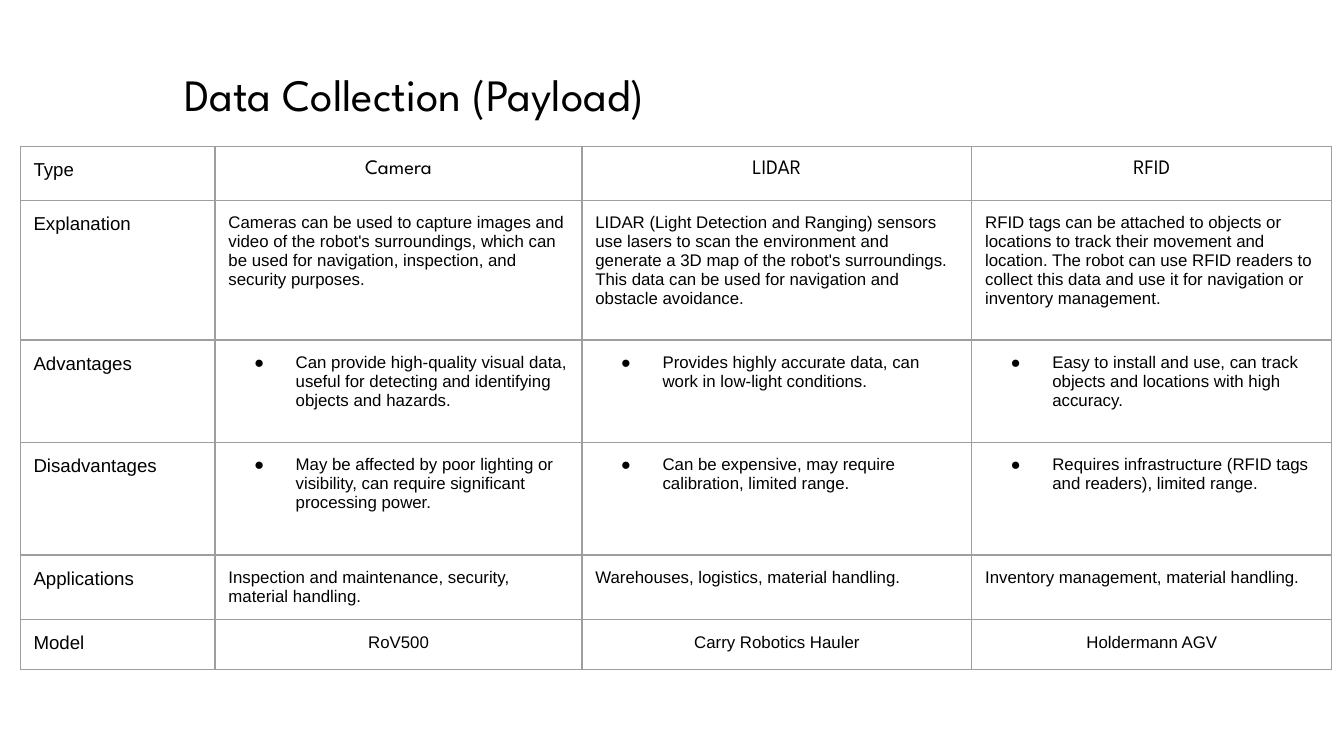
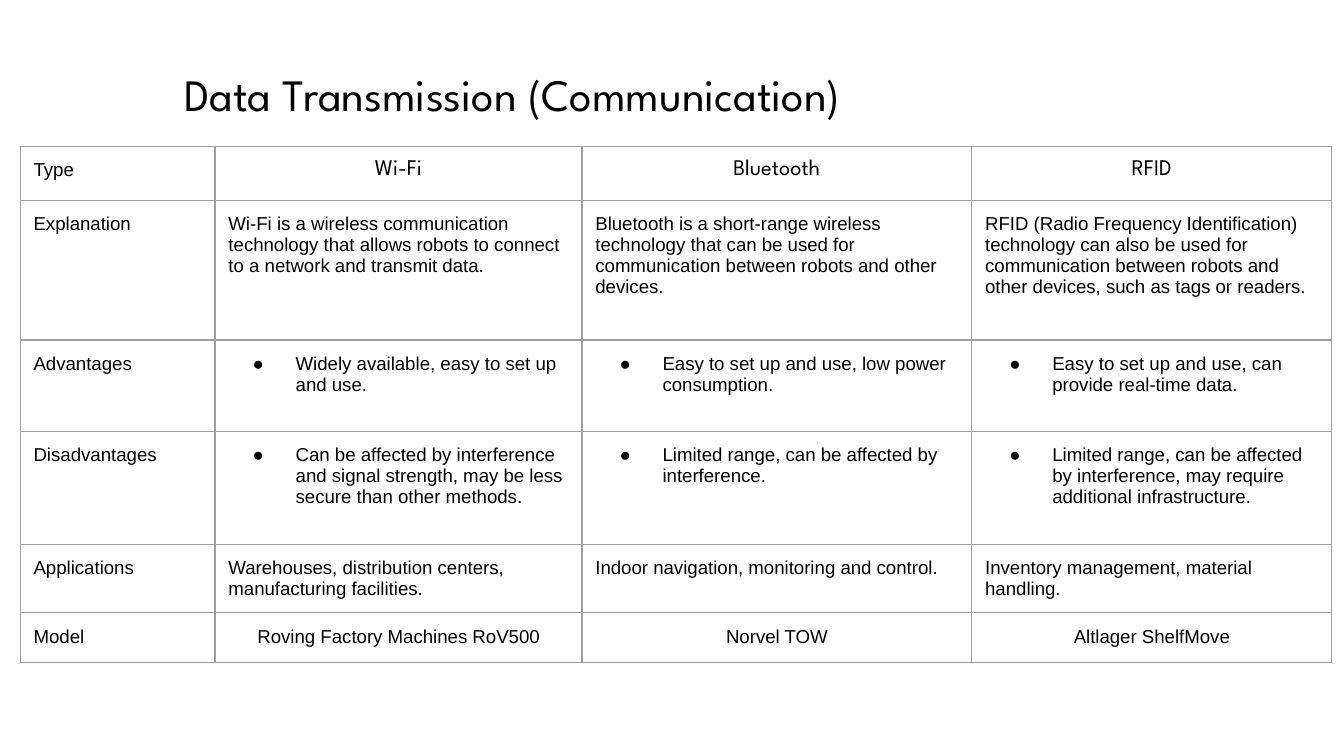
"""Build two slides that compare robot sensors and robot communication links in tables."""
from dataclasses import dataclass

from lxml import etree
from pptx import Presentation
from pptx.dml.color import RGBColor as RGB
from pptx.enum.text import MSO_ANCHOR as ANCHOR, MSO_AUTO_SIZE as AUTO, PP_ALIGN as ALIGN
from pptx.oxml.ns import qn
from pptx.util import Inches, Pt


@dataclass(frozen=True)
class Theme:
    ink: str = "000000"
    rule: str = "9E9E9E"
    paper: str = "FFFFFF"
    head_font: str = "League Spartan"
    body_font: str = "Arial"
    title_size: int = 24
    label_size: int = 10
    rule_width: float = 0.75


T = Theme()
INSET = Inches(0.1)
COL_WIDTHS = [1.45, 2.73, 2.9, 2.68]
LABELS = ["Type", "Explanation", "Advantages", "Disadvantages", "Applications", "Model"]
CENTERED = {"Type", "Model"}
BULLETED = {"Advantages", "Disadvantages"}

SLIDES = [
    {
        "title": "Data Collection (Payload)",
        "head_size": 11,
        "body_size": 9,
        "hanging": 0.31,
        "heights": [0.4, 1.04, 0.76, 0.84, 0.48, 0.37],
        "columns": [
            ["Camera",
             "Cameras can be used to capture images and video of the robot's surroundings, "
             "which can be used for navigation, inspection, and security purposes.",
             "Can provide high-quality visual data, useful for detecting and identifying "
             "objects and hazards.",
             "May be affected by poor lighting or visibility, can require significant "
             "processing power.",
             "Inspection and maintenance, security, material handling.",
             "RoV500"],
            ["LIDAR",
             "LIDAR (Light Detection and Ranging) sensors use lasers to scan the environment "
             "and generate a 3D map of the robot's surroundings. This data can be used for "
             "navigation and obstacle avoidance.",
             "Provides highly accurate data, can work in low-light conditions.",
             "Can be expensive, may require calibration, limited range.",
             "Warehouses, logistics, material handling.",
             "Carry Robotics Hauler"],
            ["RFID",
             "RFID tags can be attached to objects or locations to track their movement and "
             "location. The robot can use RFID readers to collect this data and use it for "
             "navigation or inventory management.",
             "Easy to install and use, can track objects and locations with high accuracy.",
             "Requires infrastructure (RFID tags and readers), limited range.",
             "Inventory management, material handling.",
             "Holdermann AGV"],
        ],
    },
    {
        "title": "Data Transmission (Communication)",
        "head_size": 12,
        "body_size": 10,
        "hanging": 0.32,
        "heights": [0.4, 1.04, 0.68, 0.84, 0.51, 0.37],
        "columns": [
            ["Wi-Fi",
             "Wi-Fi is a wireless communication technology that allows robots to connect to "
             "a network and transmit data.",
             "Widely available, easy to set up and use.",
             "Can be affected by interference and signal strength, may be less secure than "
             "other methods.",
             "Warehouses, distribution centers, manufacturing facilities.",
             "Roving Factory Machines RoV500"],
            ["Bluetooth",
             "Bluetooth is a short-range wireless technology that can be used for "
             "communication between robots and other devices.",
             "Easy to set up and use, low power consumption.",
             "Limited range, can be affected by interference.",
             "Indoor navigation, monitoring and control.",
             "Norvel TOW"],
            ["RFID",
             "RFID (Radio Frequency Identification) technology can also be used for "
             "communication between robots and other devices, such as tags or readers.",
             "Easy to set up and use, can provide real-time data.",
             "Limited range, can be affected by interference, may require additional "
             "infrastructure.",
             "Inventory management, material handling.",
             "Altlager ShelfMove"],
        ],
    },
]


def write(tf, text, *, size, font=T.body_font, align=ALIGN.LEFT, hanging=None):
    """Write one paragraph, with a hanging bullet when an indent is given."""
    p = tf.paragraphs[0]
    p.alignment = align
    if hanging:
        pPr = p._p.get_or_add_pPr()
        pPr.set("marL", str(Inches(0.5)))
        pPr.set("indent", str(-Inches(hanging)))
        color = etree.SubElement(pPr, qn("a:buClr"))
        etree.SubElement(color, qn("a:srgbClr"), val=T.ink)
        etree.SubElement(pPr, qn("a:buFont"), typeface=font)
        etree.SubElement(pPr, qn("a:buChar"), char="●")
    r = p.add_run()
    r.text = text
    r.font.size = Pt(size)
    r.font.name = font
    r.font.bold = False
    r.font.color.rgb = RGB.from_string(T.ink)


def style_cell(cell):
    """Give a cell its insets, thin border and empty fill."""
    cell.margin_left = cell.margin_right = cell.margin_top = cell.margin_bottom = INSET
    tcPr = cell._tc.get_or_add_tcPr()
    for side in ("L", "R", "T", "B"):
        ln = etree.SubElement(tcPr, qn(f"a:ln{side}"), w=str(Pt(T.rule_width)))
        fill = etree.SubElement(ln, qn("a:solidFill"))
        etree.SubElement(fill, qn("a:srgbClr"), val=T.rule)
    cell.fill.background()


prs = Presentation()
prs.slide_width = Inches(10)
prs.slide_height = Inches(10 * 9 / 16)
background = prs.slide_master.background.fill
background.solid()
background.fore_color.rgb = RGB.from_string(T.paper)

for content in SLIDES:
    s = prs.slides.add_slide(prs.slide_layouts[5])

    title = s.shapes.title
    title.left, title.top = Inches(1.27), Inches(0.3)
    title.width, title.height = Inches(5.52), Inches(0.79)
    tf = title.text_frame
    tf.word_wrap = True
    tf.auto_size = AUTO.NONE
    tf.vertical_anchor = ANCHOR.MIDDLE
    tf.margin_left = tf.margin_right = tf.margin_top = tf.margin_bottom = INSET
    write(tf, content["title"], size=T.title_size, font=T.head_font)

    heights = content["heights"]
    table = s.shapes.add_table(
        len(LABELS), len(COL_WIDTHS), Inches(0.15), Inches(1.09),
        Inches(sum(COL_WIDTHS)), Inches(sum(heights))).table
    table.first_row = table.horz_banding = False
    for column, width in zip(table.columns, COL_WIDTHS):
        column.width = Inches(width)
    for row, height in zip(table.rows, heights):
        row.height = Inches(height)

    for i, (label, *values) in enumerate(zip(LABELS, *content["columns"])):
        style_cell(table.cell(i, 0))
        write(table.cell(i, 0).text_frame, label, size=T.label_size)
        for j, value in enumerate(values, 1):
            cell = table.cell(i, j)
            style_cell(cell)
            write(cell.text_frame, value,
                  size=content["body_size"] if i else content["head_size"],
                  font=T.body_font if i else T.head_font,
                  align=ALIGN.CENTER if label in CENTERED else ALIGN.LEFT,
                  hanging=content["hanging"] if label in BULLETED else None)

prs.save("out.pptx")
